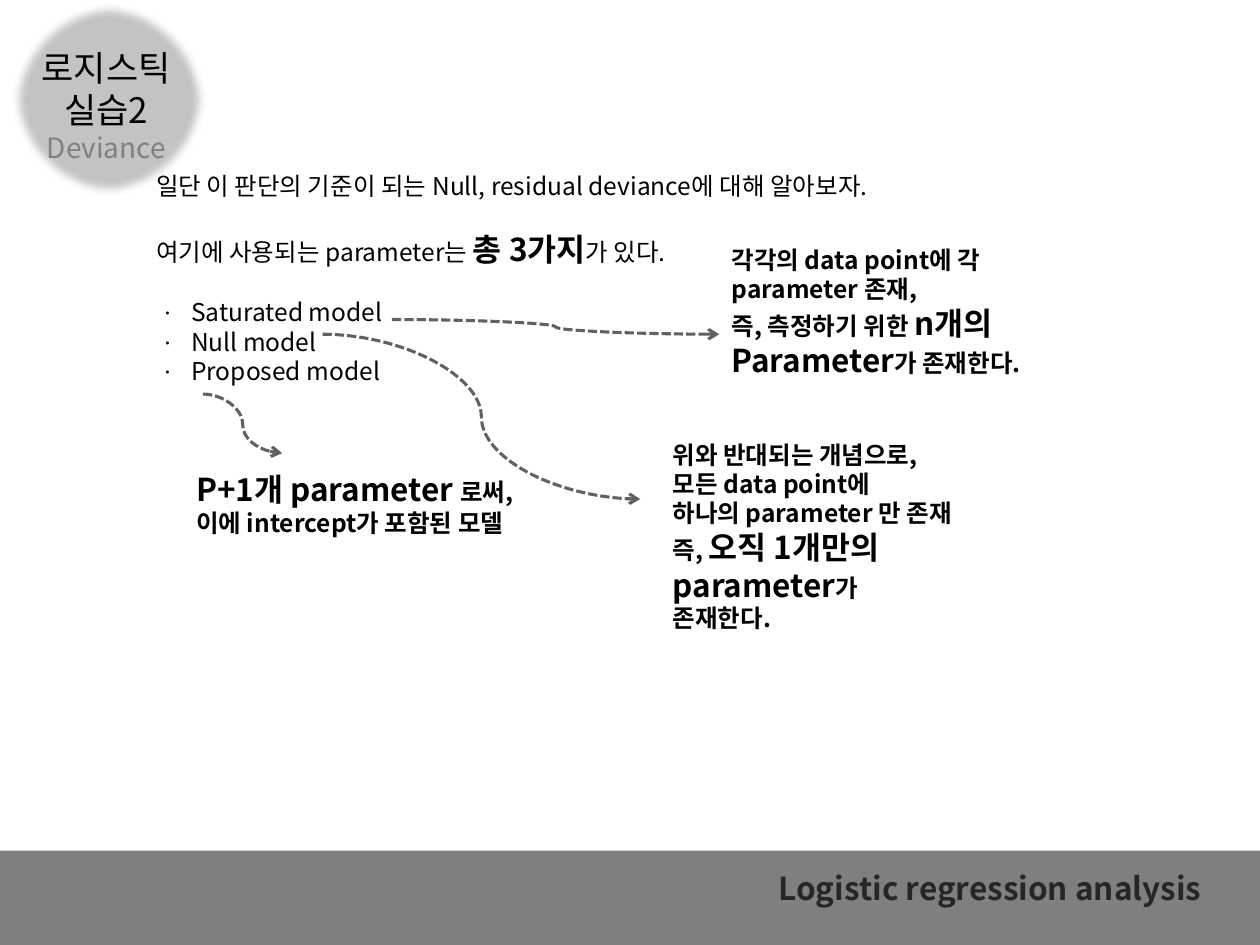
from lxml import etree
from pptx import Presentation, util as u
from pptx.dml.color import RGBColor
from pptx.enum import dml, shapes, text
from pptx.oxml.ns import qn

FONT = "Noto Sans CJK KR"
LINE = 16.8  # height of one 14 pt line
BIG = {"size": 18, "bold": True}
BOLD = {"bold": True}


def rgb(value):
    return RGBColor.from_string(value)


def sub(parent, tag, **attrs):
    return etree.SubElement(parent, qn(tag), {k: str(v) for k, v in attrs.items()})


class Deck:
    base = {"size": 14, "bold": False, "color": "000000", "name": FONT}

    def __init__(self, width, height):
        self.prs = Presentation()
        self.prs.slide_width, self.prs.slide_height = u.Pt(width), u.Pt(height)

    def new_slide(self, layout):
        self.s = self.prs.slides.add_slide(self.prs.slide_layouts[layout])

    def run(self, p, words, fmt):
        r = p.add_run()
        r.text = words
        values = {**self.base, **fmt}
        r.font.color.rgb = rgb(values.pop("color"))
        values["size"] = u.Pt(values["size"])
        for name, value in values.items():
            setattr(r.font, name, value)
        sub(r.font._element, "a:ea", typeface=FONT)
        return r

    def fill_text(self, sp, paragraphs, **para_fmt):
        """Each paragraph is a list of (words, format) runs."""
        tf = sp.text_frame
        frame = {"word_wrap": True, "auto_size": text.MSO_AUTO_SIZE.NONE,
                 "vertical_anchor": text.MSO_ANCHOR.TOP}
        for name, value in frame.items():
            setattr(tf, name, value)
        values = {"alignment": text.PP_ALIGN.LEFT, "space_before": u.Pt(0), **para_fmt}
        for i, runs in enumerate(paragraphs):
            p = tf.paragraphs[0] if i == 0 else tf.add_paragraph()
            for name, value in values.items():
                setattr(p, name, value)
            for words, fmt in runs:
                self.run(p, words, fmt)
        return sp

    def placeholder(self, idx, box, paragraphs, **para_fmt):
        sp = self.s.placeholders[idx]
        for name, value in zip(("left", "top", "width", "height"), box):
            setattr(sp, name, u.Pt(value))
        return self.fill_text(sp, paragraphs, **para_fmt)

    def textbox(self, box, paragraphs):
        sp = self.s.shapes.add_textbox(*map(u.Pt, box))
        return self.fill_text(sp, paragraphs)

    def bullet(self, p, char=None, color=None, indent=0):
        pPr = p._p.get_or_add_pPr()
        pPr.set("marL", str(u.Pt(indent)))
        pPr.set("indent", str(-u.Pt(indent)))
        if char is None:
            sub(pPr, "a:buNone")
            return
        sub(sub(pPr, "a:buClr"), "a:srgbClr", val=color)
        sub(pPr, "a:buFont", typeface=FONT)
        sub(pPr, "a:buChar", char=char)

    def shape(self, kind, box, color, alpha, soft_edge=0):
        """A borderless translucent shape behind all text."""
        sp = self.s.shapes.add_shape(kind, *map(u.Pt, box))
        sp.shadow.inherit = False
        sp.fill.solid()
        sp.fill.fore_color.rgb = rgb(color)
        sp.line.fill.background()
        spPr = sp._element.spPr
        sub(spPr.find(".//" + qn("a:srgbClr")), "a:alpha", val=alpha * 1000)
        if soft_edge:
            sub(spPr.find(qn("a:effectLst")), "a:softEdge", rad=u.Pt(soft_edge))
        self.s.shapes._spTree.insert(2, sp._element)

    def curved_arrow(self, start, end):
        c = self.s.shapes.add_connector(shapes.MSO_CONNECTOR.CURVE,
                                        *map(u.Pt, start + end))
        c.line.color.rgb = rgb("000000")
        c.line.width = u.Pt(1.75)
        c.line.dash_style = dml.MSO_LINE.SQUARE_DOT
        spPr = c._element.spPr
        sub(spPr.find(".//" + qn("a:srgbClr")), "a:alpha", val=61000)
        sub(spPr.find(qn("a:ln")), "a:tailEnd", type="arrow")
        sub(spPr, "a:effectLst")

    def text_shadow(self, r):
        effects = etree.Element(qn("a:effectLst"))
        shadow = sub(effects, "a:outerShdw", blurRad=u.Pt(3), dist=u.Pt(3),
                     dir=2700000, algn="tl")
        sub(sub(shadow, "a:srgbClr", val="000000"), "a:alpha", val=43000)
        r.font._element.find(qn("a:solidFill")).addnext(effects)


def main():
    deck = Deck(720, 540)
    deck.new_slide(1)

    deck.shape(shapes.MSO_SHAPE.OVAL, (5.8, 0.7, 113, 112.3), "808080", 47, soft_edge=5)
    deck.placeholder(0, (-44, 23, 209.5, 75), [
        [("로지스틱", {"size": 20})],
        [("실습2", {"size": 20})],
        [("Deviance", {"size": 16, "color": "808080"})],
    ], alignment=text.PP_ALIGN.CENTER)

    models = ["Saturated model", "Null model", "Proposed model"]
    body = deck.placeholder(1, (82, 94.3, 618, 266), [
        [("일단 이 판단의 기준이 되는 Null, residual deviance에 대해 알아보자.", {})],
        [("여기에 사용되는 parameter는 ", {}), ("총 3가지", BIG), ("가 있다.", {})],
        *[[(model, {})] for model in models],
    ])
    intro, count, *items = body.text_frame.paragraphs
    for p in (count, items[0]):
        p.space_before = u.Pt(LINE)
    for p in (intro, count):
        deck.bullet(p)
    for p in items:
        deck.bullet(p, "ㆍ", "0D0D0D", indent=20)

    deck.textbox((411, 136.3, 206.6, 85), [
        [("각각의 data point에 각 parameter 존재,", BOLD)],
        [("즉, 측정하기 위한 ", BOLD), ("n개의", BIG)],
        [("Parameter", BIG), ("가 존재한다.", BOLD)],
    ])
    deck.textbox((377.3, 247.7, 206.6, 119), [
        [("위와 반대되는 개념으로,", BOLD)],
        [("모든 data point에", BOLD)],
        [("하나의 parameter 만 존재", BOLD)],
        [("즉, ", BOLD), ("오직 1개만의 parameter", BIG), ("가", BOLD)],
        [("존재한다.", BOLD)],
    ])
    deck.textbox((105, 265, 206.6, 46), [
        [("P+1개 parameter ", BIG), ("로써,", BOLD)],
        [("이에 intercept가 포함된 모델", BOLD)],
    ])

    for start, end in [((224, 182.6), (411, 191)),
                       ((184.3, 191), (365.8, 285.2)),
                       ((116, 225.2), (161.3, 259))]:
        deck.curved_arrow(start, end)

    deck.shape(shapes.MSO_SHAPE.RECTANGLE, (0, 486, 720, 54), "000000", 50)
    footer = deck.textbox((437.8, 493.2, 270, 29), [
        [("Logistic regression analysis", {**BIG, "color": "262626"})],
    ])
    deck.text_shadow(footer.text_frame.paragraphs[0].runs[0])

    deck.prs.save("out.pptx")


if __name__ == "__main__":
    main()
